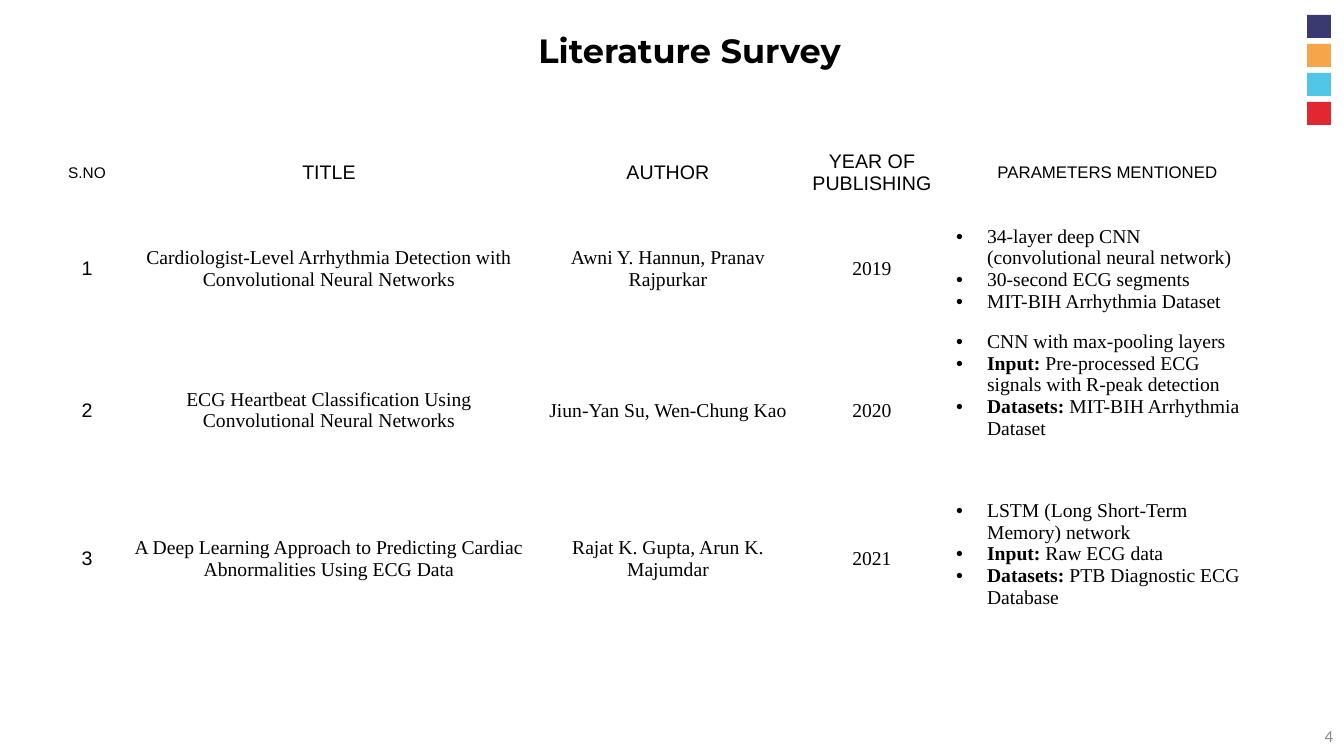
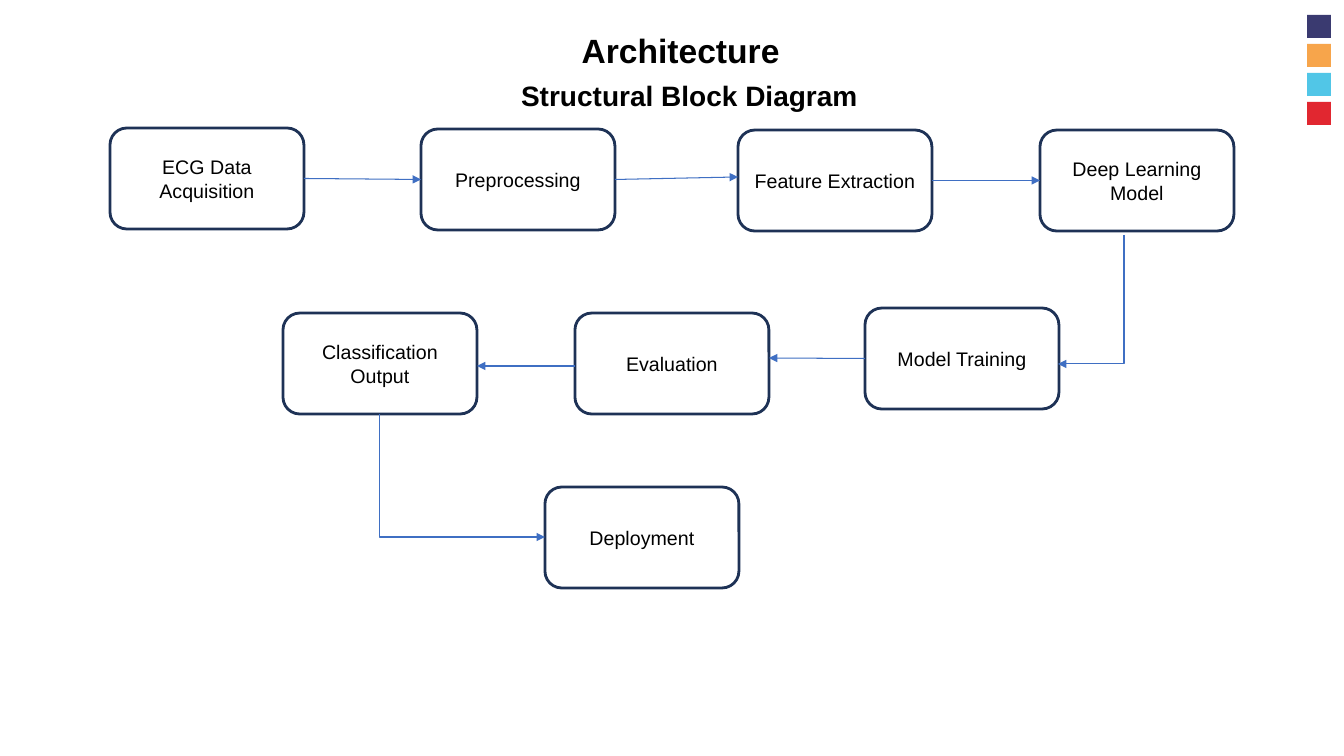
from dataclasses import dataclass

from lxml.etree import SubElement
from pptx import Presentation
from pptx.dml.color import RGBColor
from pptx.enum.shapes import MSO_CONNECTOR, MSO_SHAPE
from pptx.enum.text import MSO_ANCHOR, MSO_AUTO_SIZE, PP_ALIGN
from pptx.oxml.ns import qn
from pptx.util import Pt

PX = 9071  # EMU per px, 100.8 px to the inch


@dataclass(frozen=True)
class Theme:
    black: str = "000000"
    grey: str = "888888"
    outline: str = "1E3256"
    arrow: str = "3F6FC3"
    swatches: tuple = ("3A3A70", "F7A54B", "51C6E7", "E12730")
    sans: str = "Arial"
    serif: str = "Times New Roman"
    display: str = "Montserrat"
    number: str = "Calibri"
    title: int = 24
    subtitle: int = 20
    body: int = 14
    small: int = 12
    tiny: int = 11


T = Theme()


def write(tf, text, font=T.sans, size=T.body, color=T.black, bold=False,
          align=PP_ALIGN.CENTER, bullet=False):
    """Fill a text frame, one paragraph a line; a label before a colon is bold."""
    tf.word_wrap = True
    for i, line in enumerate(text.split("\n")):
        p = tf.add_paragraph() if i else tf.paragraphs[0]
        p.alignment = align
        if bullet:
            pPr = p._p.get_or_add_pPr()
            pPr.set("marL", str(31 * PX))
            pPr.set("indent", str(-31 * PX))
            SubElement(SubElement(pPr, qn("a:buClr")), qn("a:srgbClr")).set("val", color)
            SubElement(pPr, qn("a:buFont")).set("typeface", T.sans)
            SubElement(pPr, qn("a:buChar")).set("char", "•")
        label, colon, rest = line.partition(":")
        runs = [(label + colon, True), (rest, bold)] if colon else [(line, bold)]
        for run_text, run_bold in runs:
            r = p.add_run()
            r.text = run_text
            r.font.name = font
            r.font.size = Pt(size)
            r.font.bold = run_bold
            r.font.color.rgb = RGBColor.from_string(color)


def style_arrow(cxn):
    cxn.line.color.rgb = RGBColor.from_string(T.arrow)
    cxn.line.width = Pt(0.75)
    spPr = cxn._element.spPr
    SubElement(spPr.find(qn("a:ln")), qn("a:tailEnd")).set("type", "triangle")
    SubElement(spPr, qn("a:effectLst"))


prs = Presentation()
prs.slide_width, prs.slide_height = 1344 * PX, 756 * PX
layout = prs.slide_layouts[5]
for ph in list(layout.placeholders)[1:]:
    ph._element.getparent().remove(ph._element)

# Titles
slides = []
for title, font, left in (("Literature Survey", T.display, 110),
                          ("Architecture", T.sans, 101)):
    s = prs.slides.add_slide(layout)
    sp = s.shapes.title
    sp.left, sp.top, sp.width, sp.height = left * PX, 25 * PX, 1159 * PX, 54 * PX
    tf = sp.text_frame
    tf.auto_size = MSO_AUTO_SIZE.NONE
    tf.vertical_anchor = MSO_ANCHOR.TOP
    write(tf, title, font=font, size=T.title, bold=True)
    slides.append(s)
survey, architecture = slides

# Colour swatches, kept on the shared layout
for i, color in enumerate(T.swatches):
    sp = survey.shapes.add_shape(MSO_SHAPE.RECTANGLE, 1307 * PX, (15 + 29 * i) * PX,
                                 24 * PX, 23 * PX)
    sp.shadow.inherit = False
    sp.fill.solid()
    sp.fill.fore_color.rgb = RGBColor.from_string(color)
    sp.line.fill.background()
    layout.shapes._spTree.append(sp._element)

# Literature survey
tf = survey.shapes.add_textbox(1041 * PX, 716 * PX, 302 * PX, 40 * PX).text_frame
tf.vertical_anchor = MSO_ANCHOR.MIDDLE
write(tf, "4", font=T.number, size=T.small, color=T.grey, align=PP_ALIGN.RIGHT)

header = ("S.NO", "TITLE", "AUTHOR", "YEAR OF PUBLISHING", "PARAMETERS MENTIONED")
header_sizes = (T.tiny, T.body, T.body, T.body, T.small)
papers = (
    ("1", "Cardiologist-Level Arrhythmia Detection with Convolutional Neural Networks",
     "Awni Y. Hannun, Pranav Rajpurkar", "2019",
     "34-layer deep CNN (convolutional neural network)\n"
     "30-second ECG segments\nMIT-BIH Arrhythmia Dataset"),
    ("2", "ECG Heartbeat Classification Using Convolutional Neural Networks",
     "Jiun-Yan Su, Wen-Chung Kao", "2020",
     "CNN with max-pooling layers\n"
     "Input: Pre-processed ECG signals with R-peak detection\n"
     "Datasets: MIT-BIH Arrhythmia Dataset"),
    ("3", "A Deep Learning Approach to Predicting Cardiac Abnormalities Using ECG Data",
     "Rajat K. Gupta, Arun K. Majumdar", "2021",
     "LSTM (Long Short-Term Memory) network\n"
     "Input: Raw ECG data\nDatasets: PTB Diagnostic ECG Database"),
)
col_widths = (66, 418, 260, 148, 323)
row_heights = (78, 114, 169, 128)
table = survey.shapes.add_table(len(row_heights), len(col_widths), 54 * PX, 134 * PX,
                                sum(col_widths) * PX, sum(row_heights) * PX).table
table.first_row = table.horz_banding = False
for column, width in zip(table.columns, col_widths):
    column.width = width * PX
for row, height in zip(table.rows, row_heights):
    row.height = height * PX
for i, values in enumerate((header, *papers)):
    for j, value in enumerate(values):
        cell = table.cell(i, j)
        cell.fill.background()
        bullet = i > 0 and j == 4
        cell.vertical_anchor = MSO_ANCHOR.TOP if bullet and i > 1 else MSO_ANCHOR.MIDDLE
        write(cell.text_frame, value,
              font=T.serif if i and j else T.sans,
              size=T.body if i else header_sizes[j],
              align=PP_ALIGN.LEFT if bullet else PP_ALIGN.CENTER,
              bullet=bullet)

# Architecture
tf = architecture.shapes.add_textbox(372 * PX, 74 * PX, 635 * PX, 54 * PX).text_frame
write(tf, "Structural Block Diagram", size=T.subtitle, bold=True)

BOX_W, BOX_H = 194, 101
steps = {
    "ECG Data Acquisition": (110, 128),
    "Preprocessing": (421, 129),
    "Feature Extraction": (738, 130),
    "Deep Learning Model": (1040, 130),
    "Model Training": (865, 308),
    "Evaluation": (575, 313),
    "Classification Output": (283, 313),
    "Deployment": (545, 487),
}
boxes = {}
for name, (x, y) in steps.items():
    sp = architecture.shapes.add_shape(MSO_SHAPE.ROUNDED_RECTANGLE, x * PX, y * PX,
                                       BOX_W * PX, BOX_H * PX)
    sp.shadow.inherit = False
    sp.fill.background()
    sp.line.color.rgb = RGBColor.from_string(T.outline)
    sp.line.width = Pt(2)
    write(sp.text_frame, name)
    boxes[name] = sp

# Straight arrows: a height of None joins the arrow to the middle of the side
LEFT, RIGHT = 1, 3
for source, target, y1, y2 in (
    ("ECG Data Acquisition", "Preprocessing", None, None),
    ("Preprocessing", "Feature Extraction", None, 177),
    ("Feature Extraction", "Deep Learning Model", None, None),
    ("Model Training", "Evaluation", None, 358),
    ("Evaluation", "Classification Output", 366, 366),
):
    x1, x2 = steps[source][0], steps[target][0]
    forward = x1 < x2
    x1, x2 = (x1 + BOX_W, x2) if forward else (x1, x2 + BOX_W)
    cxn = architecture.shapes.add_connector(MSO_CONNECTOR.STRAIGHT, x1 * PX, (y1 or 0) * PX,
                                            x2 * PX, (y2 or 0) * PX)
    if y1 is None:
        cxn.begin_connect(boxes[source], RIGHT if forward else LEFT)
    if y2 is None:
        cxn.end_connect(boxes[target], LEFT if forward else RIGHT)
    style_arrow(cxn)

# Elbow arrows go down, then sideways: a one-bend connector turned a quarter
for x1, y1, x2, y2 in ((1124, 235, 1058, 364), (380, 414, 545, 537)):
    mid_x, mid_y = (x1 + x2) * PX // 2, (y1 + y2) * PX // 2
    half_w, half_h = (y2 - y1) * PX // 2, abs(x2 - x1) * PX // 2
    rightward = x2 > x1
    if rightward:
        half_w = -half_w
    cxn = architecture.shapes.add_connector(MSO_CONNECTOR.ELBOW, mid_x - half_w, mid_y - half_h,
                                            mid_x + half_w, mid_y + half_h)
    spPr = cxn._element.spPr
    spPr.find(qn("a:xfrm")).set("rot", str((270 if rightward else 90) * 60000))
    spPr.find(qn("a:prstGeom")).set("prst", "bentConnector2")
    style_arrow(cxn)

prs.save("out.pptx")
